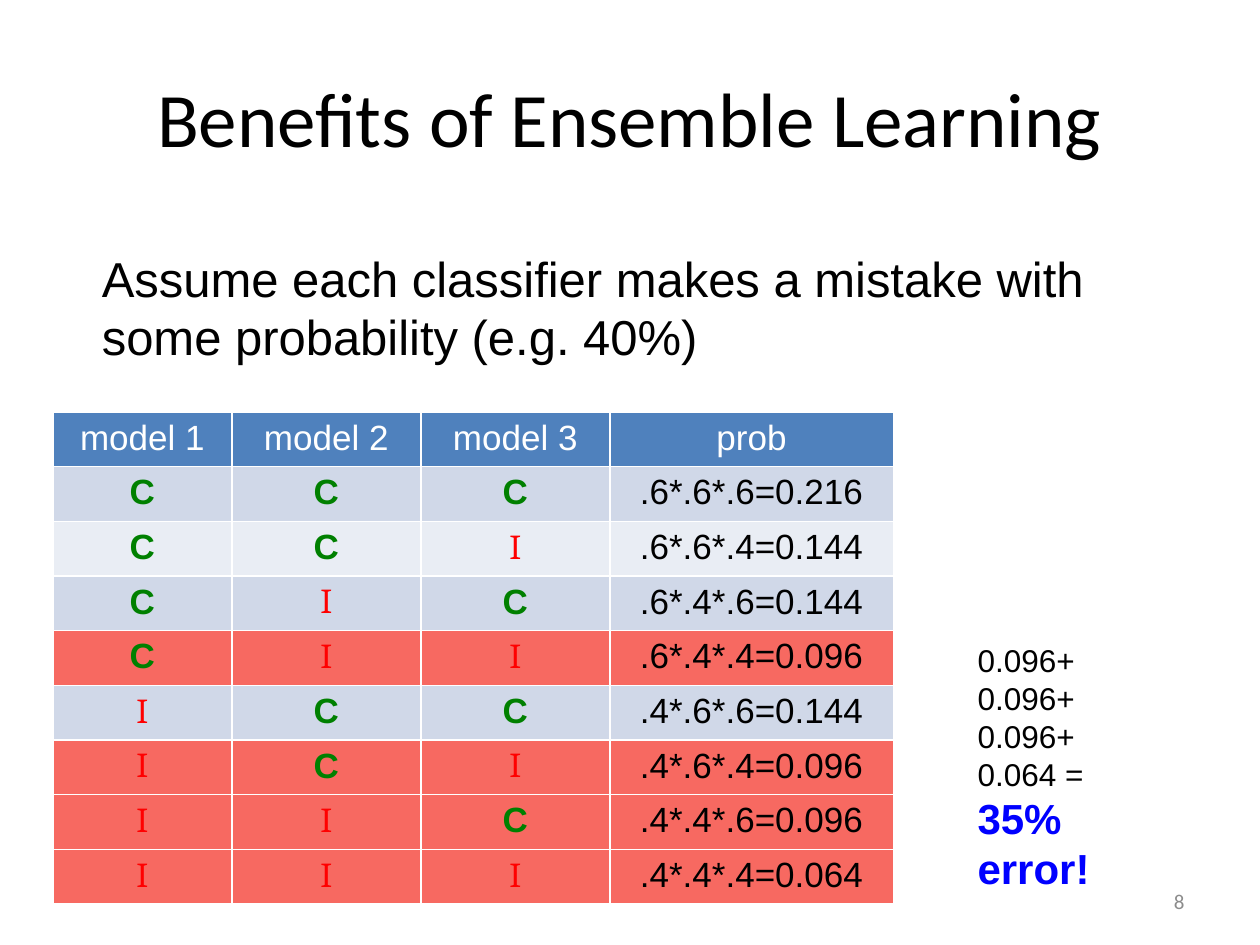
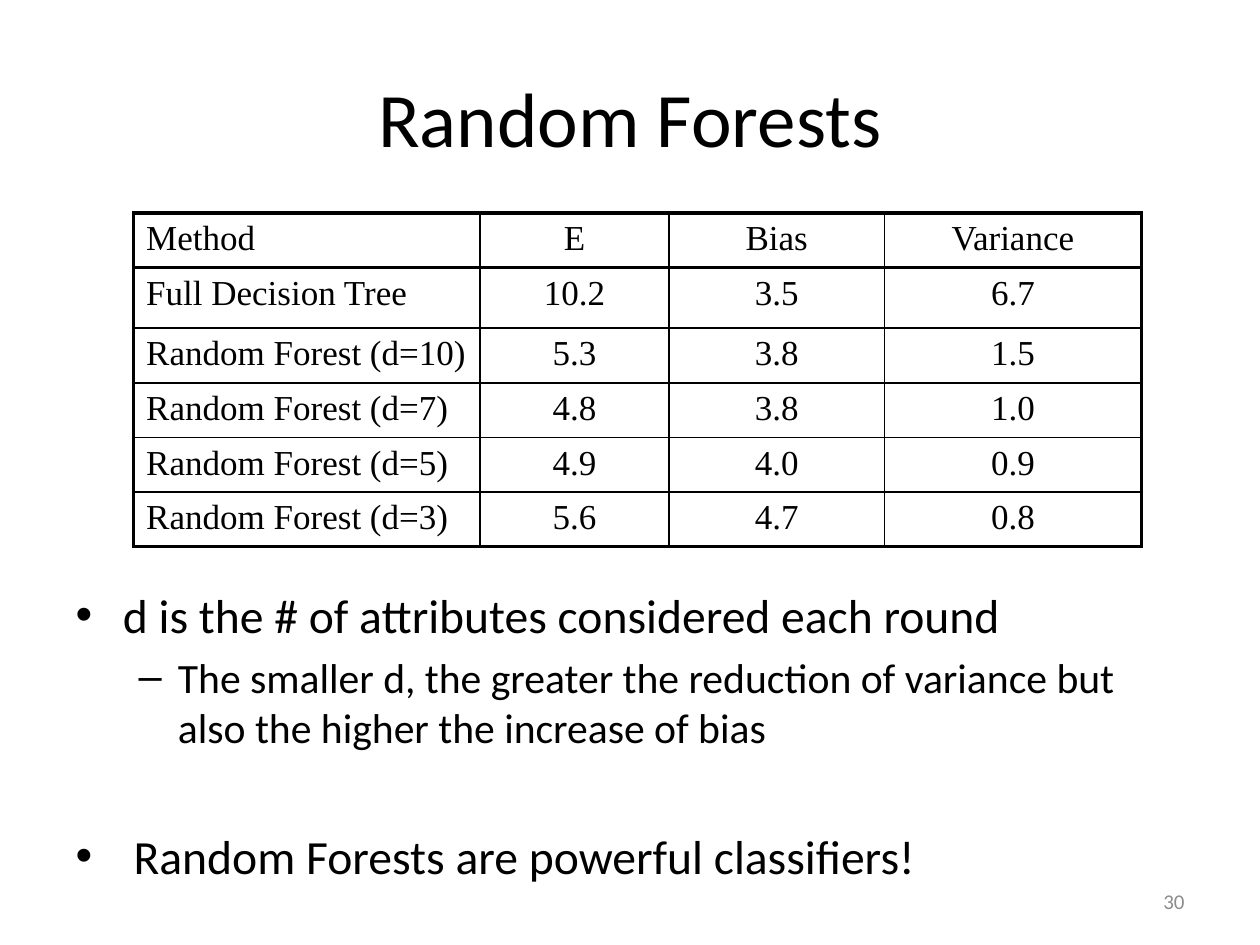
from dataclasses import dataclass

from lxml import etree
from pptx import Presentation
from pptx import util as u
from pptx.dml.color import RGBColor
from pptx.enum import text
from pptx.oxml.ns import qn

CORRECT, INCORRECT = "C", "I"

ENSEMBLE = {
    "title": "Benefits of Ensemble Learning",
    "number": "8",
    "assumption": "Assume each classifier makes a mistake with some probability (e.g. 40%)",
    "header": ["model 1", "model 2", "model 3", "prob"],
    "outcomes": [
        ("CCC", ".6*.6*.6=0.216"),
        ("CCI", ".6*.6*.4=0.144"),
        ("CIC", ".6*.4*.6=0.144"),
        ("CII", ".6*.4*.4=0.096"),
        ("ICC", ".4*.6*.6=0.144"),
        ("ICI", ".4*.6*.4=0.096"),
        ("IIC", ".4*.4*.6=0.096"),
        ("III", ".4*.4*.4=0.064"),
    ],
    "sum": ["0.096+", "0.096+", "0.096+", "0.064 ="],
    "error": "35% error!",
}

FORESTS = {
    "title": "Random Forests",
    "number": "30",
    "results": [
        ("Method", "E", "Bias", "Variance"),
        ("Full Decision Tree", "10.2", "3.5", "6.7"),
        ("Random Forest (d=10)", "5.3", "3.8", "1.5"),
        ("Random Forest (d=7)", "4.8", "3.8", "1.0"),
        ("Random Forest (d=5)", "4.9", "4.0", "0.9"),
        ("Random Forest (d=3)", "5.6", "4.7", "0.8"),
    ],
    "bullets": [
        (0, "d is the # of attributes considered each round", 0),
        (1, "The smaller d, the greater the reduction of variance but also the higher the increase of bias", 4.8),
        (0, "Random Forests are powerful classifiers!", 43),
    ],
}

GRID_COLUMNS, GRID_ROWS = 40, 30
SLIDE_WIDTH, SLIDE_HEIGHT = u.Inches(10), u.Inches(7.5)

TITLE_BOX = (2, 1.2, 36, 5)
NUMBER_BOX = (28.68, 27.8, 9.32, 1.6)
ASSUMPTION_BOX = (2.84, 7.68, 34.48, 4.16)
SUM_BOX = (30.64, 20.16, 6.6, 6.88)
BULLETS_BOX = (2, 18.4, 36, 8.44)
OUTCOME_CORNER = (1.68, 13.08)
OUTCOME_COLUMNS = [5.68, 6, 6, 9]
OUTCOME_ROW = 1.73
RESULT_CORNER = (4.24, 6.76)
RESULT_COLUMNS = [11, 6, 6.84, 8.16]
RESULT_ROWS = [1.72, 1.92] + [1.64] * 4


@dataclass(frozen=True)
class Theme:
    black: str = "000000"
    white: str = "FFFFFF"
    grey: str = "8C8C8C"
    header: str = "4F81BD"
    bands: tuple = ("D0D8E8", "E9EDF4")
    wrong_row: str = "F76961"
    correct: str = "008000"
    incorrect: str = "FF0000"
    emphasis: str = "0000FF"
    heading_font: str = "Calibri"
    text_font: str = "Arial"
    mark_font: str = "Cambria"
    data_font: str = "Times New Roman"
    title_size: float = 44
    lead_size: float = 28
    bullet_sizes: tuple = (27.2, 23.8)
    error_size: float = 24
    table_size: float = 20
    sum_size: float = 18
    number_size: float = 12
    thin: float = 1
    thick: float = 2.25


THEME = Theme()


def across(columns):
    return round(SLIDE_WIDTH * columns / GRID_COLUMNS)


def down(rows):
    return round(SLIDE_HEIGHT * rows / GRID_ROWS)


def place(shape, box):
    left, top, width, height = box
    shape.left, shape.top = across(left), down(top)
    shape.width, shape.height = across(width), down(height)


def write(paragraph, words, size, font, color=THEME.black, bold=False, align=None):
    run = paragraph.add_run()
    run.text = words
    run.font.size = u.Pt(size)
    run.font.name = font
    run.font.bold = bold
    run.font.color.rgb = RGBColor.from_string(color)
    paragraph.alignment = align


def add_text_box(slide, box):
    shape = slide.shapes.add_textbox(0, 0, 0, 0)
    place(shape, box)
    shape.text_frame.word_wrap = True
    return shape.text_frame


def add_slide(presentation, layout, content):
    slide = presentation.slides.add_slide(presentation.slide_layouts.get_by_name(layout))
    title = slide.shapes.title
    place(title, TITLE_BOX)
    title.text_frame.vertical_anchor = text.MSO_ANCHOR.MIDDLE
    write(title.text_frame.paragraphs[0], content["title"], THEME.title_size,
          THEME.heading_font, align=text.PP_ALIGN.CENTER)
    number = add_text_box(slide, NUMBER_BOX)
    number.vertical_anchor = text.MSO_ANCHOR.MIDDLE
    write(number.paragraphs[0], content["number"], THEME.number_size,
          THEME.heading_font, THEME.grey, align=text.PP_ALIGN.RIGHT)
    return slide


def add_grid(slide, corner, columns, rows):
    box = (*corner, sum(columns), sum(rows))
    frame = slide.shapes.add_table(len(rows), len(columns), 0, 0, across(box[2]), down(box[3]))
    place(frame, box)
    table = frame.table
    table.first_row = table.horz_banding = False
    for column, width in zip(table.columns, columns):
        column.width = across(width)
    for row, height in zip(table.rows, rows):
        row.height = down(height)
    return table


def set_borders(cell, color, widths):
    properties = cell._tc.get_or_add_tcPr()
    for side, width in zip("LRTB", widths):
        line = etree.SubElement(properties, qn(f"a:ln{side}"), w=str(u.Pt(width)))
        fill = etree.SubElement(line, qn("a:solidFill"))
        etree.SubElement(fill, qn("a:srgbClr"), val=color)


def set_fill(cell, color):
    cell.fill.solid()
    cell.fill.fore_color.rgb = RGBColor.from_string(color)


def mark_style(value):
    return {
        CORRECT: (THEME.text_font, THEME.correct, True),
        INCORRECT: (THEME.mark_font, THEME.incorrect, False),
    }.get(value, (THEME.text_font, THEME.black, False))


def add_outcomes(slide):
    outcomes = ENSEMBLE["outcomes"]
    rows = [ENSEMBLE["header"]] + [[*marks, product] for marks, product in outcomes]
    table = add_grid(slide, OUTCOME_CORNER, OUTCOME_COLUMNS, [OUTCOME_ROW] * len(rows))
    for index, values in enumerate(rows):
        if index == 0:
            fill = THEME.header
        elif values.count(INCORRECT) > values.count(CORRECT):
            fill = THEME.wrong_row
        else:
            fill = THEME.bands[(index - 1) % 2]
        for column, value in enumerate(values):
            cell = table.cell(index, column)
            set_borders(cell, THEME.white, [THEME.thin] * 4)
            set_fill(cell, fill)
            font, color, bold = mark_style(value)
            if index == 0:
                color = THEME.white
            write(cell.text_frame.paragraphs[0], value, THEME.table_size, font, color,
                  bold, text.PP_ALIGN.CENTER)


def add_results(slide):
    results = FORESTS["results"]
    table = add_grid(slide, RESULT_CORNER, RESULT_COLUMNS, RESULT_ROWS)
    last_row, last_column = len(results) - 1, len(RESULT_COLUMNS) - 1
    for row, values in enumerate(results):
        for column, value in enumerate(values):
            cell = table.cell(row, column)
            thick_sides = (column == 0, column == last_column, row <= 1, row in (0, last_row))
            set_borders(cell, THEME.black,
                        [THEME.thick if thick else THEME.thin for thick in thick_sides])
            cell.fill.background()
            align = text.PP_ALIGN.CENTER if column else text.PP_ALIGN.LEFT
            write(cell.text_frame.paragraphs[0], value, THEME.table_size,
                  THEME.data_font, align=align)


def add_bullets(slide):
    body = slide.placeholders[1]
    place(body, BULLETS_BOX)
    frame = body.text_frame
    frame.auto_size = text.MSO_AUTO_SIZE.NONE
    for index, (level, words, space) in enumerate(FORESTS["bullets"]):
        paragraph = frame.add_paragraph() if index else frame.paragraphs[0]
        paragraph.level = level
        paragraph.space_before = u.Pt(space)
        write(paragraph, words, THEME.bullet_sizes[level], THEME.heading_font)
    hanging = u.Inches(0.46)
    properties = paragraph._p.get_or_add_pPr()
    properties.set("marL", str(hanging))
    properties.set("indent", str(-hanging))


def build_ensemble(presentation):
    slide = add_slide(presentation, "Title Only", ENSEMBLE)
    assumption = add_text_box(slide, ASSUMPTION_BOX)
    write(assumption.paragraphs[0], ENSEMBLE["assumption"], THEME.lead_size, THEME.text_font)
    add_outcomes(slide)
    total = add_text_box(slide, SUM_BOX)
    for index, term in enumerate(ENSEMBLE["sum"]):
        paragraph = total.add_paragraph() if index else total.paragraphs[0]
        write(paragraph, term, THEME.sum_size, THEME.text_font)
    write(total.add_paragraph(), ENSEMBLE["error"], THEME.error_size, THEME.text_font,
          THEME.emphasis, True)


def build_forests(presentation):
    slide = add_slide(presentation, "Title and Content", FORESTS)
    add_bullets(slide)
    add_results(slide)


def main():
    presentation = Presentation()
    presentation.slide_width, presentation.slide_height = SLIDE_WIDTH, SLIDE_HEIGHT
    build_ensemble(presentation)
    build_forests(presentation)
    presentation.save("out.pptx")


if __name__ == "__main__":
    main()
